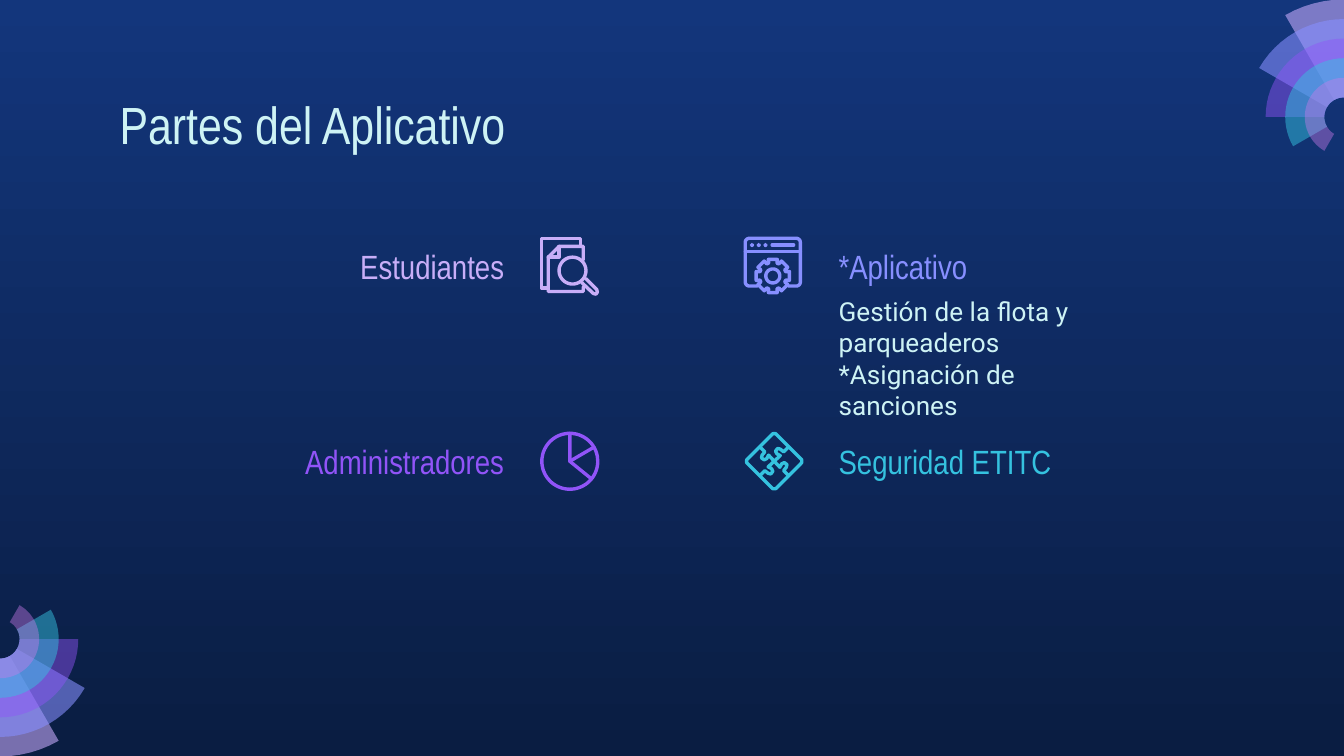
from math import cos, radians, sin

from lxml import etree
from pptx import Presentation
from pptx.dml.color import RGBColor
from pptx.enum.text import MSO_ANCHOR, MSO_AUTO_SIZE, PP_ALIGN
from pptx.oxml.ns import qn
from pptx.util import Cm, Pt

LEFT, RIGHT = PP_ALIGN.LEFT, PP_ALIGN.RIGHT
TOP, MIDDLE = MSO_ANCHOR.TOP, MSO_ANCHOR.MIDDLE
NO_AUTOFIT = MSO_AUTO_SIZE.NONE

COLORS = {
    "sky": "13367C", "night": "0A1D42", "text": "CEF3F5",
    "lilac": "C8AEF8", "periwinkle": "878FFF", "violet": "9154F8",
    "cyan": "35C2DF", "pale": "C8ACFD", "orchid": "CA7BEB",
}
HEADING_FONT, BODY_FONT = "Arial Narrow", "Roboto"
TITLE_ONLY = 5
UNIT = 0.0254  # icon drawing unit in cm

# Fan sectors from the widest ring inwards: color, opacity in percent
SECTORS = [("pale", 58), ("periwinkle", 58), ("violet", 46),
           ("cyan", 49), ("orchid", 42)]
RING_STEP = 0.37


def rgb(name):
    return RGBColor.from_string(COLORS[name])


def arc(x, y, radius, start, end, step=5):
    """Points along an arc, in degrees clockwise from the right."""
    count = max(1, round(abs(end - start) / step))
    angles = [radians(start + (end - start) * i / count) for i in range(count + 1)]
    return [(x + radius * cos(a), y + radius * sin(a)) for a in angles]


def closed(points):
    return points + points[:1]


def circle(x, y, radius):
    return closed(arc(x, y, radius, 0, 350))


def add_outline(page, left, top, contours, unit=1.0):
    """Build one freeform; contour points are multiples of unit cm."""
    scaled = [[(x * unit * 1000, y * unit * 1000) for x, y in contour]
              for contour in contours]
    builder = page.shapes.build_freeform(*scaled[0][0], scale=Cm(0.001))
    for index, contour in enumerate(scaled):
        if index:
            builder.move_to(*contour[0])
        builder.add_line_segments(contour[1:], close=contour[0] == contour[-1])
    shape = builder.convert_to_shape(Cm(left), Cm(top))
    shape.shadow.inherit = False
    return shape


def add_fan(page, left, top, start):
    for index, (color, opacity) in enumerate(SECTORS):
        outer = RING_STEP * (len(SECTORS) + 1 - index)
        end = start - 30 * (index + 1)
        sector = closed(arc(0, 0, outer, start, end)
                        + arc(0, 0, RING_STEP, end, start))
        shape = add_outline(page, left, top, [sector])
        shape.fill.solid()
        shape.fill.fore_color.rgb = rgb(color)
        shape.line.fill.background()
        srgb = shape._element.spPr.find(qn("a:solidFill")).find(qn("a:srgbClr"))
        etree.SubElement(srgb, qn("a:alpha"), val=str(opacity * 1000))


def add_icon(page, left, top, contours, color):
    shape = add_outline(page, left, top, contours, UNIT)
    shape.fill.background()
    shape.line.color.rgb = rgb(color)
    shape.line.width = Pt(1.8)
    line = shape._element.spPr.find(qn("a:ln"))
    line.set("cap", "rnd")
    etree.SubElement(line, qn("a:round"))


def search_contours():
    return [
        [(5, 38), (1, 38), (1, 1), (30, 1), (30, 6)],
        [(32, 17), (32, 7), (14, 7), (6, 15), (6, 40.5), (32, 40.5), (32, 37)],
        [(6, 15), (14, 15), (14, 7)],
        circle(24, 25, 10),
        [(34, 31), (42, 39), (42.5, 41), (41.5, 42.5), (39.5, 42), (31, 34)],
    ]


def pie_contours():
    return [circle(22, 22, 20.8), [(22, 1.2), (22, 22), (38, 35)],
            [(22, 22), (40, 11.5)]]


def puzzle_contours():
    x, y = 22.5, 22
    corner = [(-2, -19.6), (-1, -20.5), (1, -20.5), (2, -19.6)]
    seam = [(-10.5, -10.5), (-7, -7), (-9, -4.5), (-9.5, -2.5), (-7.5, -1),
            (-5.5, -2), (-4.2, -4.5), (0, 0)]
    border, seams = [], []
    for _ in range(4):
        border += [(x + dx, y + dy) for dx, dy in corner]
        seams.append([(x + dx, y + dy) for dx, dy in seam])
        corner = [(-dy, dx) for dx, dy in corner]
        seam = [(-dy, dx) for dx, dy in seam]
    return [closed(border)] + seams


def app_contours():
    x, y = 21.5, 29
    gear = []
    for tooth in range(0, 360, 45):
        for offset, radius in ((-18, 10), (-15, 12.8), (15, 12.8), (18, 10)):
            gear += arc(x, y, radius, tooth + offset, tooth + offset)[:1]
    frame = ([(10, 36.5)] + arc(4, 33.5, 3, 90, 180, 15) + arc(4, 4, 3, 180, 270, 15)
             + arc(39, 4, 3, 270, 360, 15) + arc(39, 33.5, 3, 0, 90, 15) + [(33, 36.5)])
    dots = [circle(dot, 6, 0.3) for dot in (6, 11, 16)]
    return [frame, [(1, 11), (42, 11)], [(21, 6), (37, 6)],
            closed(gear), circle(x, y, 5.2)] + dots


def write_text(box, lines, size, font, color, align=LEFT, anchor=TOP):
    frame = box.text_frame
    frame.word_wrap = True
    frame.auto_size = NO_AUTOFIT
    frame.vertical_anchor = anchor
    frame.margin_left = frame.margin_right = Cm(0.25)
    frame.margin_top = frame.margin_bottom = Cm(0.25)
    for index, line in enumerate(lines):
        para = frame.add_paragraph() if index else frame.paragraphs[0]
        para.alignment = align
        span = para.add_run()
        span.text = line
        span.font.size = Pt(size)
        span.font.name = font
        span.font.color.rgb = rgb(color)


def add_text(page, left, top, width, height, *args, **options):
    box = page.shapes.add_textbox(Cm(left), Cm(top), Cm(width), Cm(height))
    write_text(box, *args, **options)


def set_title(page, text):
    title = page.shapes.title
    title.left, title.top = Cm(2.01), Cm(1.5)
    title.width, title.height = Cm(21.39), Cm(1.6)
    write_text(title, [text], 28, HEADING_FONT, "text")


def set_background(page):
    fill = page.background.fill
    fill.gradient()
    fill.gradient_angle = 270
    for stop, color, position in zip(fill.gradient_stops, ("sky", "night"), (0, 1)):
        stop.color.rgb = rgb(color)
        stop.position = position


def main():
    deck = Presentation()
    deck.slide_width, deck.slide_height = Cm(25.4), Cm(14.29)
    page = deck.slides.add_slide(deck.slide_layouts[TITLE_ONLY])
    set_background(page)

    # Corner fans
    add_fan(page, 25.4, 2.21, 270)
    add_fan(page, 0, 12.08, 90)

    set_title(page, "Partes del Aplicativo")

    # Parts: heading beside its icon, two by two
    upper, lower = 4.49, 8.17
    left_icon, right_icon = 10.21, 14.06
    parts = [
        ("Estudiantes", "lilac", left_icon, upper, search_contours()),
        ("*Aplicativo", "periwinkle", right_icon, upper, app_contours()),
        ("Administradores", "violet", left_icon, lower, pie_contours()),
        ("Seguridad ETITC", "cyan", right_icon, lower, puzzle_contours()),
    ]
    for name, color, icon_left, row, contours in parts:
        on_left = icon_left == left_icon
        add_text(page, 3.78 if on_left else 15.6, row, 6, 1.09, [name], 18,
                 HEADING_FONT, color, align=RIGHT if on_left else LEFT,
                 anchor=MIDDLE)
        add_icon(page, icon_left, row - 0.01, contours, color)

    # Description of the application
    add_text(page, 15.6, 5.33, 5.84, 2.26,
             ["Gestión de la flota y parqueaderos", "*Asignación de sanciones"],
             14, BODY_FONT, "text")

    deck.save("out.pptx")


if __name__ == "__main__":
    main()
